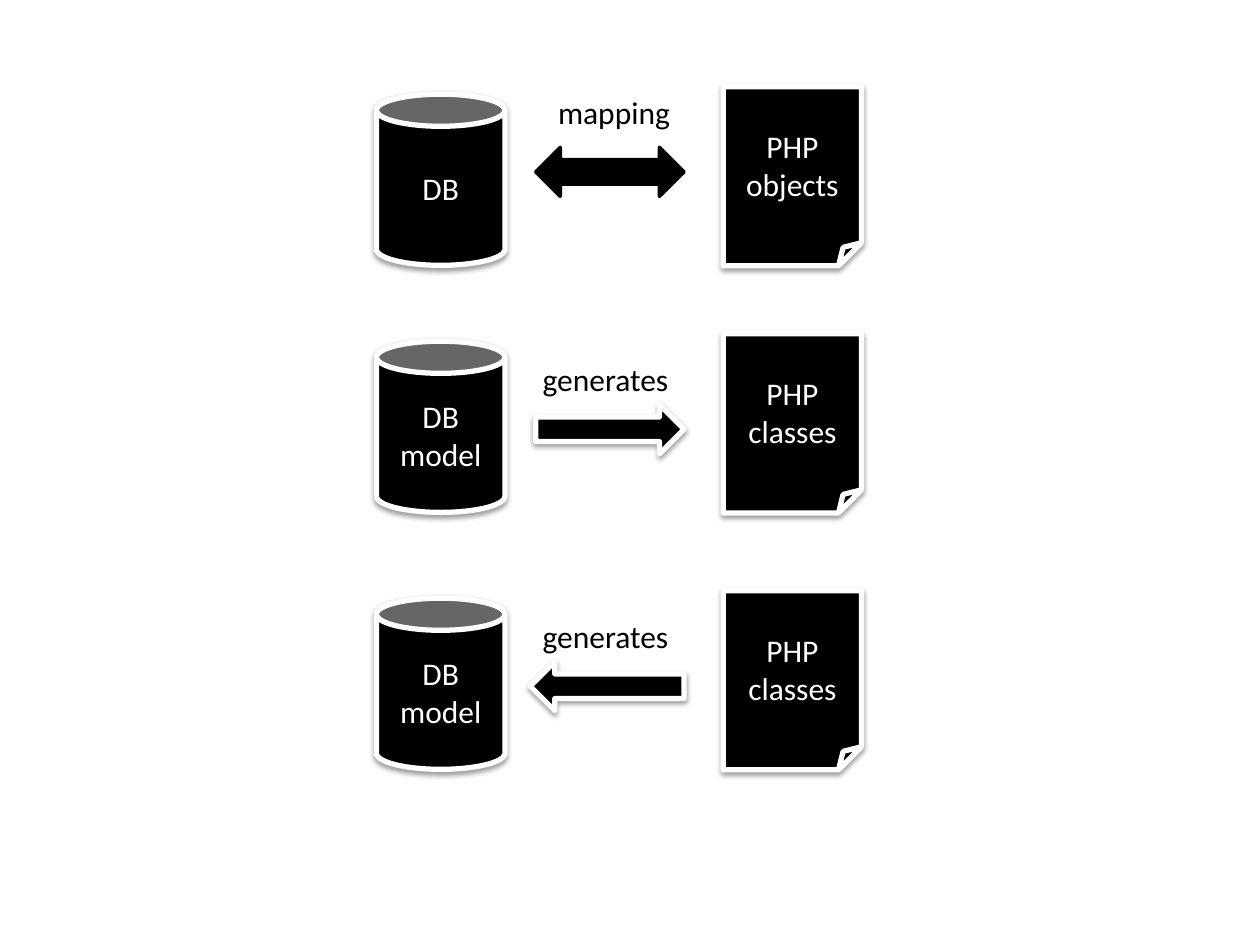
from pptx import Presentation
from pptx.dml.color import RGBColor
from pptx.enum.shapes import MSO_SHAPE as Preset
from pptx.enum.text import MSO_ANCHOR as Anchor, MSO_AUTO_SIZE as AutoSize, PP_ALIGN as Align
from pptx.oxml import parse_xml
from pptx.oxml.ns import nsdecls, qn
from pptx.util import Cm, Pt

BLACK = RGBColor(0, 0, 0)
WHITE = RGBColor(255, 255, 255)
SHADOW = (
    f'<a:outerShdw {nsdecls("a")} blurRad="{Pt(3.1)}" dist="{Pt(1.6)}" dir="5400000" rotWithShape="0">'
    '<a:srgbClr val="000000"><a:alpha val="38000"/></a:srgbClr></a:outerShdw>'
)


def write_text(frame, text, font="Calibri", size=18, color=BLACK, align=Align.LEFT, anchor=Anchor.TOP, wrap=True):
    """Put one formatted paragraph into a text frame."""
    frame.word_wrap = wrap
    frame.vertical_anchor = anchor
    para = frame.paragraphs[0]
    para.alignment = align
    span = para.add_run()
    span.text = text
    span.font.name = font
    span.font.size = Pt(size)
    span.font.color.rgb = color


class Diagram:
    """Hold the style and the slide of the mapping diagram."""

    def __init__(self, page, fill=BLACK, outline=WHITE):
        self.page = page
        self.fill = fill
        self.outline = outline

    def block(self, preset, left, top, width, height, text="", outlined=True):
        """Draw a filled shape, with a light outline and shadow if outlined."""
        box = self.page.shapes.add_shape(preset, Cm(left), Cm(top), Cm(width), Cm(height))
        box.fill.solid()
        box.fill.fore_color.rgb = self.fill
        box.line.color.rgb = self.outline if outlined else self.fill
        box.line.width = Pt(3 if outlined else 2)
        box.shadow.inherit = False
        if outlined:
            box._element.spPr.find(qn("a:effectLst")).append(parse_xml(SHADOW))
        if text:
            write_text(box.text_frame, text, color=WHITE, align=Align.CENTER, anchor=Anchor.MIDDLE)

    def document(self, top, text):
        """Draw the sheet of PHP code."""
        self.block(Preset.FOLDED_CORNER, 14.58, top, 2.79, 3.61, text)

    def database(self, top, text):
        """Draw the database cylinder."""
        self.block(Preset.CAN, 7.59, top + 0.15, 2.59, 3.45, text)

    def arrow(self, preset, left, top, outlined=True):
        """Draw a block arrow that ends at the common right edge."""
        self.block(preset, left, top, 13.79 - left, 0.99, outlined=outlined)

    def label(self, left, top, width, text):
        """Write the caption above an arrow."""
        box = self.page.shapes.add_textbox(Cm(left), Cm(top), Cm(width), Cm(1.02))
        write_text(box.text_frame, text, wrap=False)
        box.text_frame.auto_size = AutoSize.SHAPE_TO_FIT_TEXT


def main():
    """Build the three rows and save the deck."""
    deck = Presentation()
    deck.slide_width, deck.slide_height = Cm(25.4), Cm(19.05)
    diagram = Diagram(deck.slides.add_slide(deck.slide_layouts[6]))

    rows = [
        (1.75, "DB", "PHP objects"),
        (6.73, "DB model", "PHP classes"),
        (11.91, "DB model", "PHP classes"),
    ]
    for top, database, document in rows:
        diagram.document(top, document)
        diagram.database(top, database)

    diagram.label(11, 1.75, 2.79, "mapping")
    diagram.arrow(Preset.LEFT_RIGHT_ARROW, 10.8, 2.97, outlined=False)
    for top, preset, left in [(7.14, Preset.RIGHT_ARROW, 10.8), (12.32, Preset.LEFT_ARROW, 10.69)]:
        diagram.label(10.69, top, 3.07, "generates")
        diagram.arrow(preset, left, top + 1.02)

    deck.save("out.pptx")


if __name__ == "__main__":
    main()
